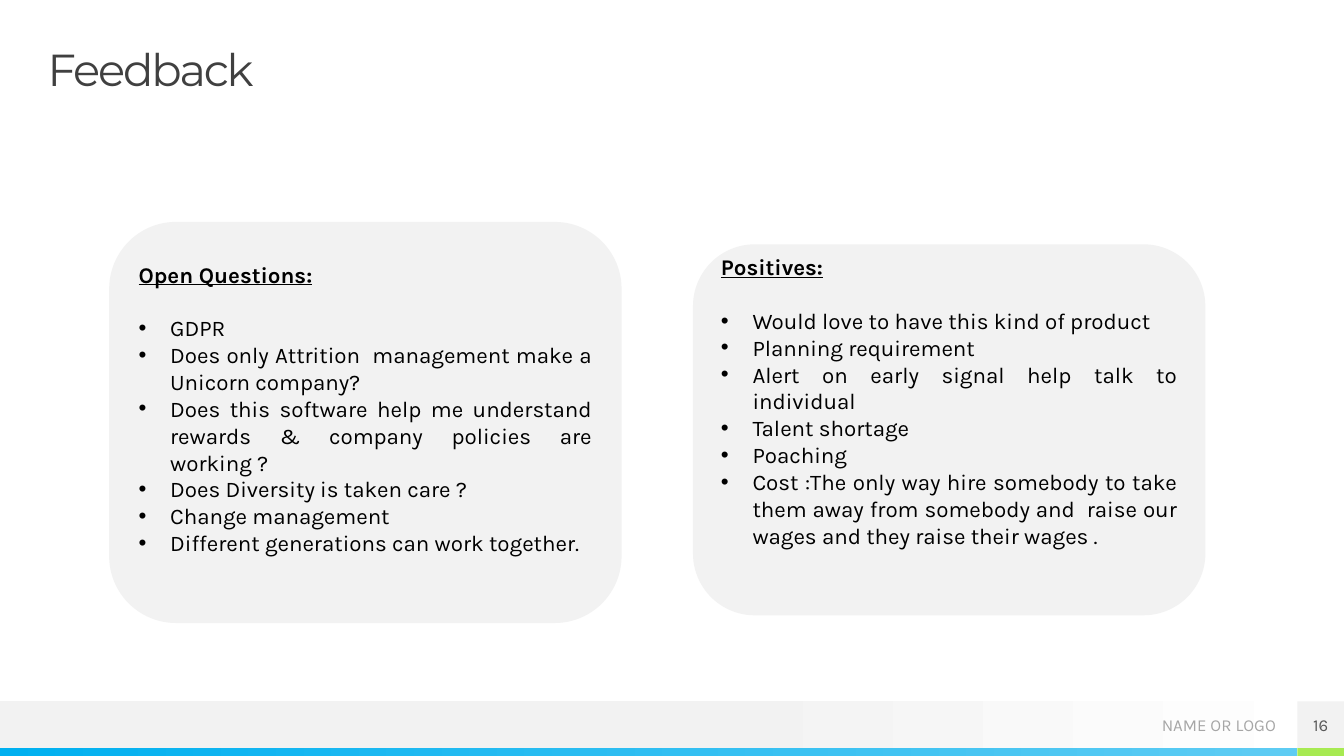
"""Build the Feedback slide with open questions and positives side by side."""
import dataclasses

import pptx
import pptx.dml.color
import pptx.enum.shapes
import pptx.enum.text
import pptx.util
import lxml.etree

Pt = pptx.util.Pt
RGB = pptx.dml.color.RGBColor.from_string
SHAPE = pptx.enum.shapes.MSO_SHAPE
ANCHOR = pptx.enum.text.MSO_ANCHOR
ALIGN = pptx.enum.text.PP_ALIGN


@dataclasses.dataclass(frozen=True)
class Theme:
    heading_font: str = "Montserrat"
    body_font: str = "Karla"
    title_size: int = 32
    body_size: int = 16
    footer_size: int = 12
    title: str = "404040"
    body: str = "000000"
    footer: str = "A6A6A6"
    number: str = "595959"
    panel: str = "F2F2F2"
    white: str = "FFFFFF"
    blue: str = "00B0F0"
    sky: str = "5ECCF3"
    green: str = "A7EA52"


theme = Theme()


def add_block(kind, left, top, width, height, *colours):
    """Add a borderless shape with a solid fill or a two-colour gradient."""
    block = page.shapes.add_shape(kind, Pt(left), Pt(top), Pt(width), Pt(height))
    block.shadow.inherit = False
    block.line.fill.background()
    if len(colours) == 1:
        block.fill.solid()
        block.fill.fore_color.rgb = RGB(colours[0])
    else:
        block.fill.gradient()
        block.fill.gradient_angle = 0
        for stop, colour in zip(block.fill.gradient_stops, colours):
            stop.color.rgb = RGB(colour)
    return block


def write(frame, lines, font, size, colour, align, anchor):
    """Fill a text frame with evenly formatted paragraphs."""
    frame.text = "\n".join(lines)
    frame.word_wrap = True
    frame.vertical_anchor = anchor
    for para in frame.paragraphs:
        para.alignment = align
        for span in para.runs:
            span.font.name = font
            span.font.size = Pt(size)
            span.font.color.rgb = RGB(colour)


deck = pptx.Presentation()
deck.slide_width, deck.slide_height = Pt(960), Pt(540)
page = deck.slides.add_slide(deck.slide_layouts.get_by_name("Title Only"))

footer_top, strip_top, corner_left, corner_size = 501, 534.25, 926.75, 33.25
footer_band = add_block(SHAPE.RECTANGLE, 0, footer_top, 960, corner_size, theme.panel, theme.white)
footer_band.fill.gradient_stops[0].position = 0.53
add_block(SHAPE.RECTANGLE, 0, strip_top, corner_left, 5.75, theme.blue, theme.sky)
add_block(SHAPE.RECTANGLE, corner_left, strip_top, corner_size, 5.75, theme.green)
number_box = add_block(SHAPE.RECTANGLE, corner_left, footer_top, corner_size, corner_size, theme.panel)
footer_box = page.shapes.add_textbox(Pt(750), Pt(footer_top), Pt(161.5), Pt(34))

title = page.shapes.title
title.left, title.top, title.width, title.height = Pt(34), Pt(34), Pt(893), Pt(34)

for box in (number_box, footer_box, title):
    frame = box.text_frame
    frame.margin_left = frame.margin_right = frame.margin_top = frame.margin_bottom = 0
    frame.auto_size = pptx.enum.text.MSO_AUTO_SIZE.NONE

write(number_box.text_frame, ["16"], theme.body_font, theme.footer_size, theme.number,
      ALIGN.CENTER, ANCHOR.MIDDLE)
write(footer_box.text_frame, ["NAME OR LOGO"], theme.body_font, theme.footer_size, theme.footer,
      ALIGN.RIGHT, ANCHOR.MIDDLE)
write(title.text_frame, ["Feedback"], theme.heading_font, theme.title_size, theme.title,
      ALIGN.LEFT, ANCHOR.TOP)
title_para = title.text_frame.paragraphs[0]
title_para.line_spacing = 0.9
title_para.runs[0].font._element.set("spc", "-150")

panels = [
    (78, 158.5, 286.5, 23.5, "Open Questions:", [
        "GDPR",
        "Does only Attrition  management make a Unicorn company?",
        "Does this software help me understand rewards & company policies are working ?",
        "Does Diversity is taken care ?",
        "Change management",
        "Different generations can work together.",
    ]),
    (495, 174.5, 265, 44.5, "Positives:", [
        "Would love to have this kind of product",
        "Planning requirement",
        "Alert on early signal help talk to individual",
        "Talent shortage",
        "Poaching",
        "Cost :The only way hire somebody to take them away from somebody and  raise our wages "
        "and they raise their wages .",
    ]),
]
for left, top, height, bottom_margin, heading, points in panels:
    panel = add_block(SHAPE.ROUNDED_RECTANGLE, left, top, 366, height, theme.panel)
    frame = panel.text_frame
    frame.margin_bottom = Pt(bottom_margin)
    write(frame, [heading, *points], theme.body_font, theme.body_size, theme.body,
          ALIGN.JUSTIFY, ANCHOR.MIDDLE)
    heading_para, *point_paras = frame.paragraphs
    heading_para.space_after = Pt(19)
    heading_para.runs[0].font.bold = True
    heading_para.runs[0].font.underline = True
    for para in point_paras:
        properties = para._p.get_or_add_pPr()
        properties.set("marL", str(Pt(22.5)))
        properties.set("indent", str(-Pt(22.5)))
        namespace = properties.nsmap["a"]
        lxml.etree.SubElement(properties, f"{{{namespace}}}buFont", typeface="Arial")
        lxml.etree.SubElement(properties, f"{{{namespace}}}buChar", char="•")

deck.save("out.pptx")
